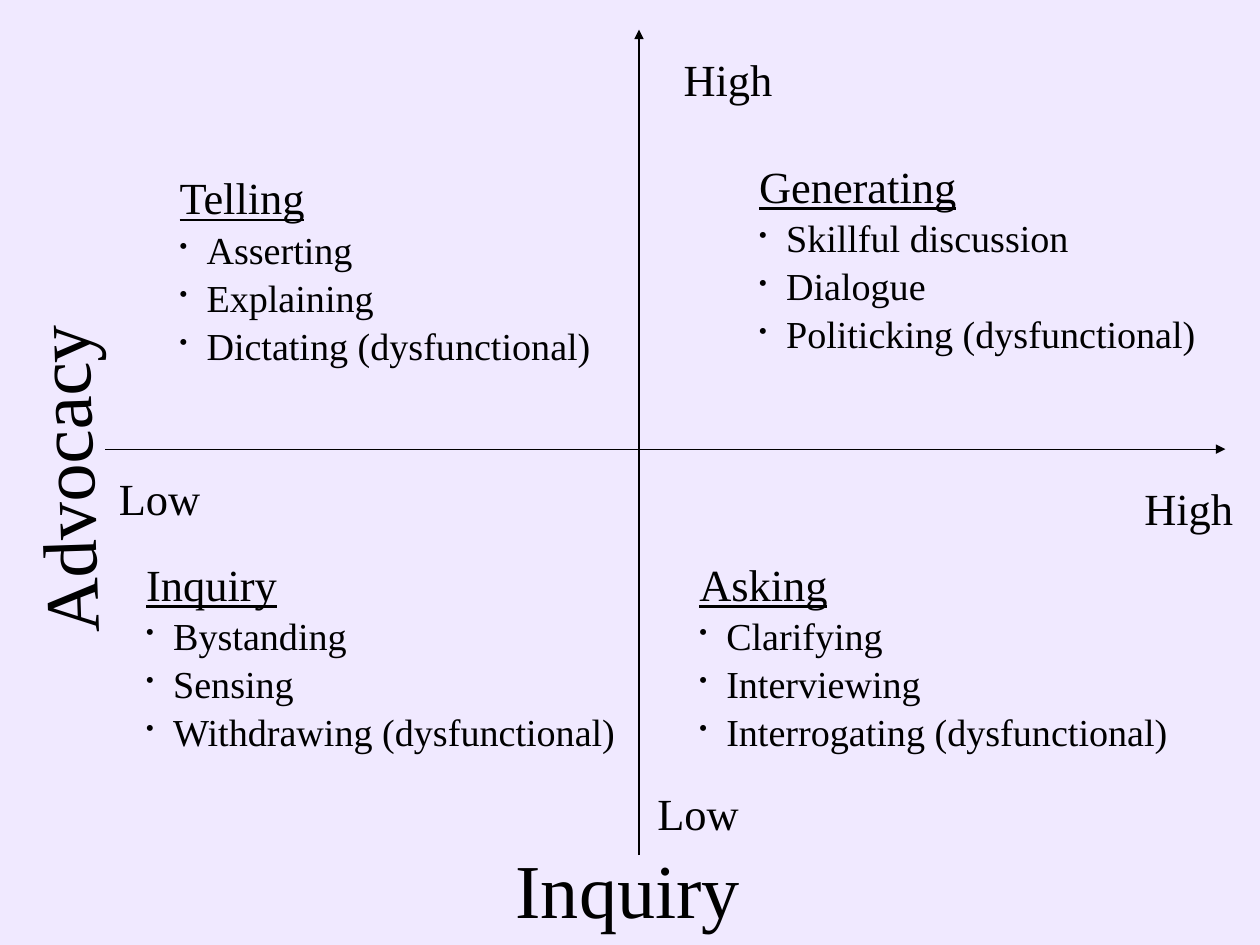
"""Builds the advocacy and inquiry quadrant slide."""
import pptx
import pptx.util
import pptx.dml.color
import pptx.enum.shapes
import pptx.enum.text
import pptx.oxml.ns
from lxml import etree
from pptx.util import Cm

COLOURS = {"background": "F0E9FF", "ink": "000000"}
FONT = "Times New Roman"
BULLET_INDENT = Cm(0.6)


def add_text(page, lines, left, top, width, height, sizes):
    """Add a text box; the first size is for the first line, the last for the rest."""
    box = page.shapes.add_textbox(Cm(left), Cm(top), Cm(width), Cm(height))
    frame = box.text_frame
    frame.margin_left = frame.margin_right = frame.margin_top = frame.margin_bottom = 0
    frame.word_wrap = True
    frame.auto_size = pptx.enum.text.MSO_AUTO_SIZE.SHAPE_TO_FIT_TEXT
    frame.text = "\n".join(lines)
    for index, para in enumerate(frame.paragraphs):
        para.line_spacing = 1.05
        span = para.runs[0]
        span.font.name = FONT
        span.font.size = pptx.util.Pt(sizes[0] if index == 0 else sizes[-1])
        span.font.color.rgb = pptx.dml.color.RGBColor.from_string(COLOURS["ink"])
    return box


def add_child(parent, tag, **attributes):
    """Append a drawing element with the given attributes."""
    return etree.SubElement(parent, pptx.oxml.ns.qn(tag), attributes)


deck = pptx.Presentation()
deck.slide_width, deck.slide_height = Cm(28), Cm(21)
page = deck.slides.add_slide(deck.slide_layouts[6])
page.background.fill.solid()
page.background.fill.fore_color.rgb = pptx.dml.color.RGBColor.from_string(COLOURS["background"])

axes = [(2.34, 9.98, 27.23, 9.98), (14.2, 19, 14.2, 0.66)]
for ends in axes:
    axis = page.shapes.add_connector(
        pptx.enum.shapes.MSO_CONNECTOR.STRAIGHT, *[Cm(end) for end in ends])
    axis.line.width = pptx.util.Pt(0.75)
    axis.line.color.rgb = pptx.dml.color.RGBColor.from_string(COLOURS["ink"])
    add_child(axis.line._get_or_add_ln(), "a:tailEnd", type="triangle")
    add_child(axis._element.spPr, "a:effectLst")

scale_labels = [
    ("Low", 2.64, 10.41),
    ("High", 25.43, 10.64),
    ("High", 15.19, 1.09),
    ("Low", 14.61, 17.42),
]
for label, left, top in scale_labels:
    add_text(page, [label], left, top, 2.46, 1.19, [28])

axis_titles = [
    ("Inquiry", 11.46, 18.62, 5.59, 0),
    ("Advocacy", -2.64, 9.14, 7.87, 268),
]
for title, left, top, width, angle in axis_titles:
    add_text(page, [title], left, top, width, 2.03, [48]).rotation = angle

quadrants = [
    (["Telling", "Asserting", "Explaining", "Dictating (dysfunctional)"], 3.99, 3.73, 9.55),
    (["Generating", "Skillful discussion", "Dialogue", "Politicking (dysfunctional)"],
     16.87, 3.48, 10.57),
    (["Inquiry", "Bystanding", "Sensing", "Withdrawing (dysfunctional)"], 3.25, 12.32, 10.95),
    (["Asking", "Clarifying", "Interviewing", "Interrogating (dysfunctional)"],
     15.54, 12.32, 10.95),
]
for lines, left, top, width in quadrants:
    box = add_text(page, lines, left, top, width, 4.24, [28, 24])
    heading, *items = box.text_frame.paragraphs
    heading.runs[0].font.underline = True
    for para in items:
        properties = para._p.get_or_add_pPr()
        properties.set("marL", str(BULLET_INDENT))
        properties.set("indent", str(-BULLET_INDENT))
        bullet_colour = add_child(properties, "a:buClr")
        add_child(bullet_colour, "a:srgbClr", val=COLOURS["ink"])
        add_child(properties, "a:buSzPct", val="60000")
        add_child(properties, "a:buChar", char="•")

deck.save("out.pptx")
